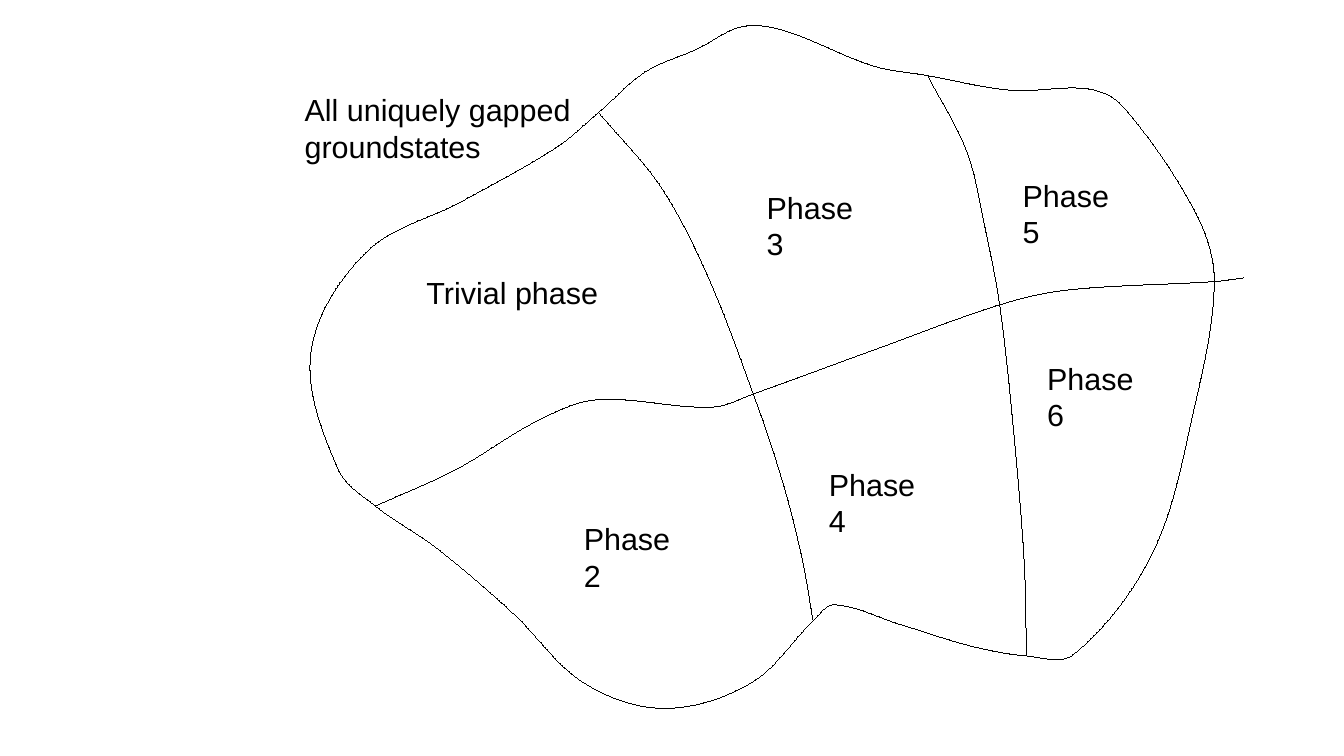
from dataclasses import dataclass
from math import dist

from lxml import etree
from pptx import Presentation
from pptx import util as u
from pptx.dml.color import RGBColor
from pptx.enum import text
from pptx.oxml.ns import qn


@dataclass(frozen=True)
class Theme:
    """Colours, type and the unit of the map grid."""
    ink: RGBColor = RGBColor(0, 0, 0)
    font: str = "Arial"
    label_size: int = u.Pt(18)
    hairline: int = u.Cm(0)
    grid: int = u.Cm(2.54) // 100
    label_height: int = u.Cm(1.68)


THEME = Theme()

NORTHWEST, WEST, SOUTH = (491, 92), (308, 415), (667, 509)
SOUTHEAST, EAST, NORTHEAST = (842, 538), (996, 231), (761, 62)
LEFT_CROSSING, RIGHT_CROSSING = (618, 323), (820, 250)
EAST_TIP = (1020, 228)

COAST = {
    NORTHWEST: [(456, 121), (379, 165), (300, 207), (255, 289), (277, 384)],
    WEST: [(359, 450), (421, 503), (479, 560), (545, 581), (616, 560)],
    SOUTH: [(684, 496), (738, 512), (797, 530)],
    SOUTHEAST: [(880, 537), (945, 454), (979, 337)],
    EAST: [(981, 175), (921, 87), (893, 73), (829, 74)],
    NORTHEAST: [(716, 54), (643, 25), (608, 22), (572, 40), (529, 59)],
}
BOUNDARIES = {
    "left": [NORTHWEST, (542, 153), (580, 225), LEFT_CROSSING,
             (642, 395), (658, 458), SOUTH],
    "across": [WEST, (374, 385), (441, 345), (489, 328), (584, 334), LEFT_CROSSING,
               (714, 288), RIGHT_CROSSING, (875, 238), EAST, EAST_TIP],
    "right": [NORTHEAST, (793, 124), (808, 187), RIGHT_CROSSING,
              (831, 349), (840, 459), SOUTHEAST],
}
TITLE_SPOT, TITLE_WIDTH = (240, 70), 240
TRIVIAL_SPOT, TRIVIAL_WIDTH = (340, 220), 170
FIRST_NUMBER, NUMBERED_WIDTH = 2, 110
NUMBERED_SPOTS = [(469, 422), (619, 150), (670, 377), (829, 140), (849, 290)]


def place(box, spot):
    """Turn a grid spot of the box into a slide position."""
    return tuple(edge + step * THEME.grid for edge, step in zip(box, spot))


def curve_handles(anchors, closed):
    """Yield both handles and the end of each segment, tangent to its neighbours."""
    count = len(anchors)

    def neighbour(index):
        return anchors[index % count if closed else min(max(index, 0), count - 1)]

    def handle(index, reach):
        before, after = neighbour(index - 1), neighbour(index + 1)
        ratio = reach / dist(before, after)
        return tuple(here + (b - a) * ratio
                     for here, a, b in zip(neighbour(index), before, after))

    for index in range(count if closed else count - 1):
        reach = dist(neighbour(index), neighbour(index + 1)) / 3
        yield handle(index, reach), handle(index + 1, -reach), neighbour(index + 1)


def draw_curve(slide, box, spots, closed=False):
    """Draw a smooth hairline through grid spots of the box."""
    anchors = [place(box, spot) for spot in spots]
    builder = slide.shapes.build_freeform(*anchors[0])
    builder.add_line_segments(anchors[1:] + anchors[:closed], close=closed)
    curve = builder.convert_to_shape()
    straights = list(curve._element.iter(qn("a:lnTo")))
    for straight, bend_points in zip(straights, curve_handles(anchors, closed)):
        bend = etree.Element(qn("a:cubicBezTo"))
        for x, y in bend_points:
            etree.SubElement(bend, qn("a:pt"),
                             x=str(round(x - curve.left)), y=str(round(y - curve.top)))
        straight.getparent().replace(straight, bend)
    curve.shadow.inherit = False
    curve.fill.background()
    curve.line.color.rgb = THEME.ink
    curve._element.spPr.find(qn("a:ln")).set("w", str(int(THEME.hairline)))


def add_label(slide, box, wording, spot, width):
    """Place one wrapped label at a grid spot of the box."""
    label = slide.shapes.add_textbox(*place(box, spot), width * THEME.grid,
                                     THEME.label_height)
    frame = label.text_frame
    frame.word_wrap = True
    frame.auto_size = text.MSO_AUTO_SIZE.SHAPE_TO_FIT_TEXT
    frame.text = wording
    font = frame.paragraphs[0].runs[0].font
    font.name, font.size = THEME.font, THEME.label_size
    font.color.rgb = THEME.ink


def draw_regions(slide, box):
    """Draw the coast from junction to junction, then the phase boundaries."""
    coastline = [spot for junction, bends in COAST.items()
                 for spot in (junction, *bends)]
    draw_curve(slide, box, coastline, closed=True)
    for boundary in BOUNDARIES.values():
        draw_curve(slide, box, boundary)


def label_regions(slide, box):
    """Name the trivial phase, the numbered phases and the whole map."""
    add_label(slide, box, "Trivial phase", TRIVIAL_SPOT, TRIVIAL_WIDTH)
    for number, spot in enumerate(NUMBERED_SPOTS, FIRST_NUMBER):
        add_label(slide, box, f"Phase {number}", spot, NUMBERED_WIDTH)
    add_label(slide, box, "All uniquely gapped groundstates", TITLE_SPOT, TITLE_WIDTH)


def main():
    """Build the phase map slide and save it."""
    deck = Presentation()
    deck.slide_width, deck.slide_height = u.Cm(28), u.Cm(15.75)
    slide = deck.slides.add_slide(deck.slide_layouts[6])
    map_box = (u.Cm(0), u.Cm(0), deck.slide_width, deck.slide_height)
    draw_regions(slide, map_box)
    label_regions(slide, map_box)
    deck.save("out.pptx")


if __name__ == "__main__":
    main()
